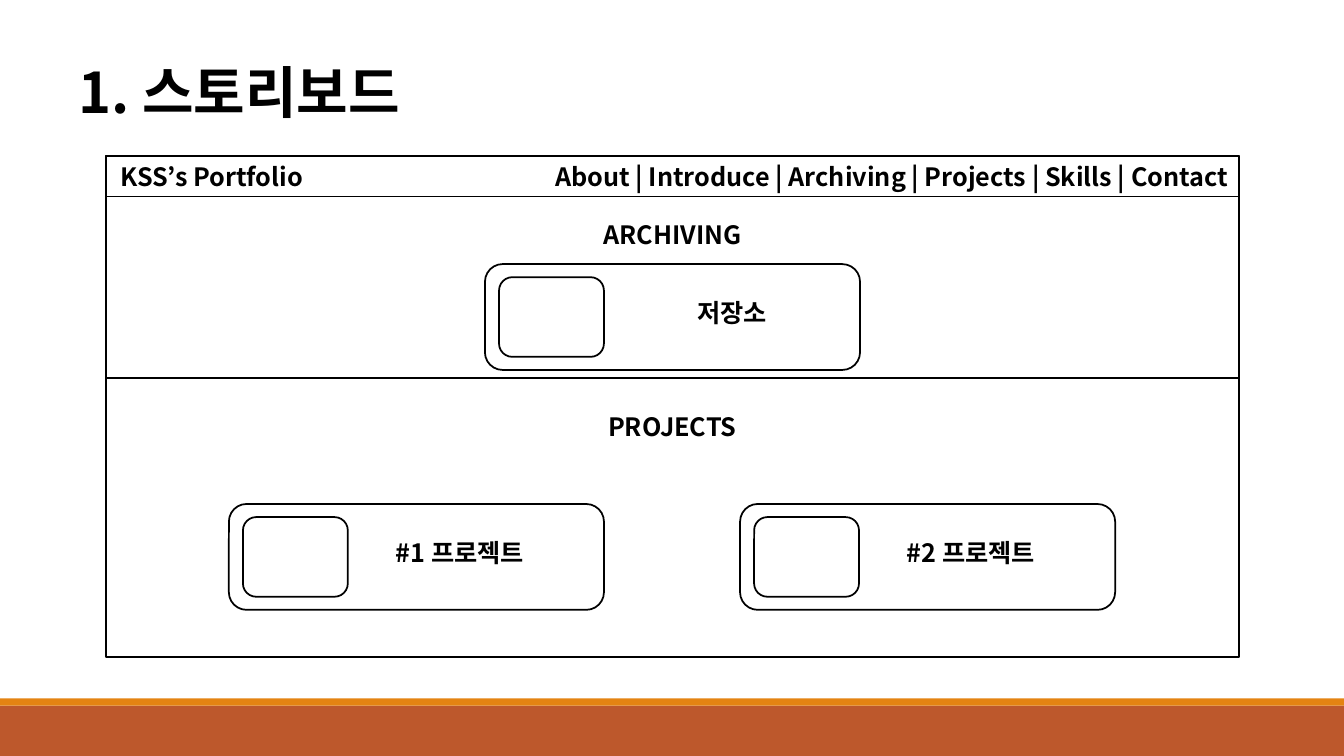
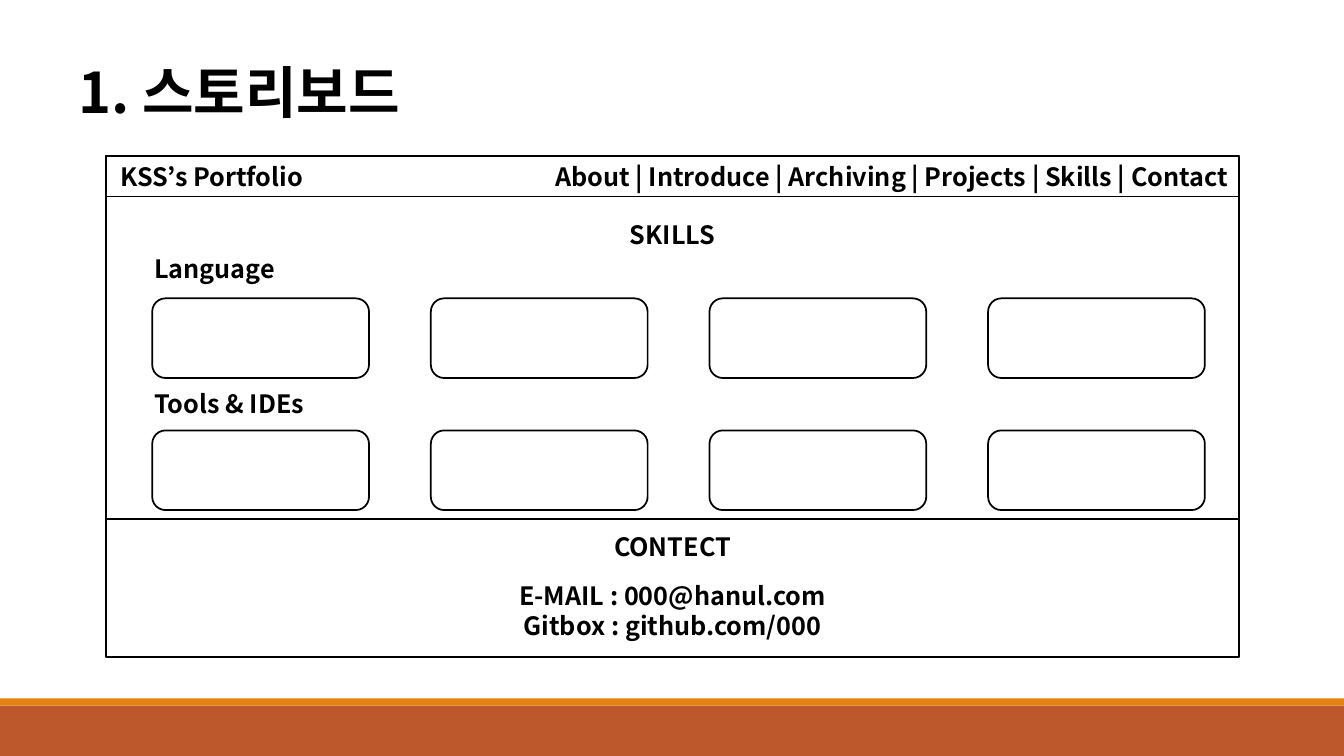
from dataclasses import dataclass

from lxml.etree import SubElement
from pptx import Presentation
from pptx.dml.color import RGBColor
from pptx.enum.shapes import MSO_SHAPE as Shape
from pptx.enum.text import MSO_ANCHOR as Anchor, PP_ALIGN as Align
from pptx.oxml.ns import qn
from pptx.util import Inches, Pt

COLORS = {"ink": "000000", "band": "BD582C", "stripe": "E48312"}
FONT = "Noto Sans CJK KR"
NAV_ITEMS = ["About", "Introduce", "Archiving", "Projects", "Skills", "Contact"]
TEXT_HEIGHT = 0.4
NAV_HEIGHT = 0.4
TILE_HEIGHT = 0.79


@dataclass
class Box:
    """A rectangle in inches."""

    left: float
    top: float
    width: float
    height: float

    def inner(self, left, top, width, height):
        """Return a box offset from this one's top left corner."""
        return Box(self.left + left, self.top + top, width, height)

    def strip(self, top, height):
        """Return a full-width strip of this box."""
        return self.inner(0, top, self.width, height)

    def lengths(self):
        """Return the four lengths that python-pptx expects."""
        return [Inches(n) for n in (self.left, self.top, self.width, self.height)]


SLIDE = Box(0, 0, 13.33, 7.5)
FRAME = Box(1.05, 1.55, 11.24, 4.97)


def color(name):
    """Return a palette colour."""
    return RGBColor.from_string(COLORS[name])


def add_band(shapes, box, fill):
    """Draw a filled rectangle without an outline."""
    band = shapes.add_shape(Shape.RECTANGLE, *box.lengths())
    band.shadow.inherit = False
    band.fill.solid()
    band.fill.fore_color.rgb = color(fill)
    band.line.fill.background()


def add_outline(shapes, box, kind=Shape.RECTANGLE):
    """Draw an unfilled wireframe outline."""
    outline = shapes.add_shape(kind, *box.lengths())
    outline.shadow.inherit = False
    outline.fill.background()
    outline.line.color.rgb = color("ink")
    outline.line.width = Pt(1.25)


def add_text(shapes, box, lines, align=Align.CENTER, size=18):
    """Write bold lines, one paragraph each, centred vertically."""
    frame = shapes.add_textbox(*box.lengths()).text_frame
    frame.word_wrap = True
    frame.vertical_anchor = Anchor.MIDDLE
    for index, line in enumerate(lines):
        para = frame.add_paragraph() if index else frame.paragraphs[0]
        para.alignment = align
        span = para.add_run()
        span.text = line
        span.font.name = FONT
        span.font.size = Pt(size)
        span.font.bold = True
        span.font.color.rgb = color("ink")
        SubElement(span.font._element, qn("a:ea"), typeface=FONT)


def add_heading(shapes, section, top, heading):
    """Centre a heading in a section."""
    add_text(shapes, section.strip(top, TEXT_HEIGHT), [heading])


def add_card(page, box, label, label_center):
    """Draw a grouped card with a thumbnail and a label."""
    shapes = page.shapes.add_group_shape().shapes
    width = 1.64
    add_text(shapes, box.inner(label_center - width / 2, 0.28, width, TEXT_HEIGHT), [label])
    add_outline(shapes, box, Shape.ROUNDED_RECTANGLE)
    add_outline(shapes, box.inner(0.14, 0.13, 1.04, TILE_HEIGHT), Shape.ROUNDED_RECTANGLE)


def add_page(deck, title):
    """Add a slide with the title, bands, site frame and navigation."""
    page = deck.slides.add_slide(deck.slide_layouts[6])
    shapes = page.shapes
    add_band(shapes, SLIDE.strip(7, 0.5), "band")
    add_band(shapes, SLIDE.strip(6.93, 0.07), "stripe")
    add_text(shapes, SLIDE.inner(0.68, 0.52, 10.93, 0.77), [title], Align.JUSTIFY, 40)
    add_outline(shapes, FRAME)
    add_outline(shapes, FRAME.strip(0, NAV_HEIGHT))
    add_text(shapes, FRAME.inner(0.05, 0, 2.56, TEXT_HEIGHT), ["KSS’s Portfolio"], Align.LEFT)
    add_text(shapes, FRAME.inner(3.95, 0, 7.28, TEXT_HEIGHT), [" | ".join(NAV_ITEMS)], Align.RIGHT)
    return page


def add_archiving(page, section):
    """Fill the archiving section."""
    add_outline(page.shapes, section)
    add_heading(page.shapes, section, 0.18, "ARCHIVING")
    add_card(page, section.inner(3.76, 0.67, 3.72, 1.05), "저장소", 2.45)


def add_projects(page, section):
    """Fill the projects section with two cards."""
    add_heading(page.shapes, section, 0.28, "PROJECTS")
    for index, label in enumerate(["#1 프로젝트", "#2 프로젝트"]):
        add_card(page, section.inner(1.22 + index * 5.07, 1.25, 3.72, 1.05), label, 2.29)


def add_skills(page, section):
    """Fill the skills section with labelled rows of four tiles."""
    shapes = page.shapes
    add_outline(shapes, section)
    add_heading(shapes, section, 0.18, "SKILLS")
    tile_width = 2.15
    pitch = (10.44 - tile_width) / 3
    for label, label_top, tile_top in [("Language", 0.51, 1.01), ("Tools & IDEs", 1.85, 2.32)]:
        add_text(shapes, section.inner(0.38, label_top, 2, TEXT_HEIGHT), [label], Align.LEFT)
        for column in range(4):
            tile = section.inner(0.46 + column * pitch, tile_top, tile_width, TILE_HEIGHT)
            add_outline(shapes, tile, Shape.ROUNDED_RECTANGLE)


def add_contact(page, section):
    """Fill the contact section."""
    add_heading(page.shapes, section, 0.07, "CONTECT")
    lines = ["E-MAIL : 000@hanul.com", "Gitbox : github.com/000"]
    add_text(page.shapes, section.strip(0.55, 0.71), lines)


def add_storyboard(deck, upper, lower, upper_height):
    """Add a storyboard slide with two stacked sections."""
    page = add_page(deck, "1. 스토리보드")
    split = NAV_HEIGHT + upper_height
    upper(page, FRAME.strip(NAV_HEIGHT, upper_height))
    lower(page, FRAME.strip(split, FRAME.height - split))


def main():
    """Build and save the deck."""
    deck = Presentation()
    deck.slide_width = Inches(SLIDE.width)
    deck.slide_height = Inches(SLIDE.height)
    add_storyboard(deck, add_archiving, add_projects, 1.8)
    add_storyboard(deck, add_skills, add_contact, 3.2)
    deck.save("out.pptx")


if __name__ == "__main__":
    main()
